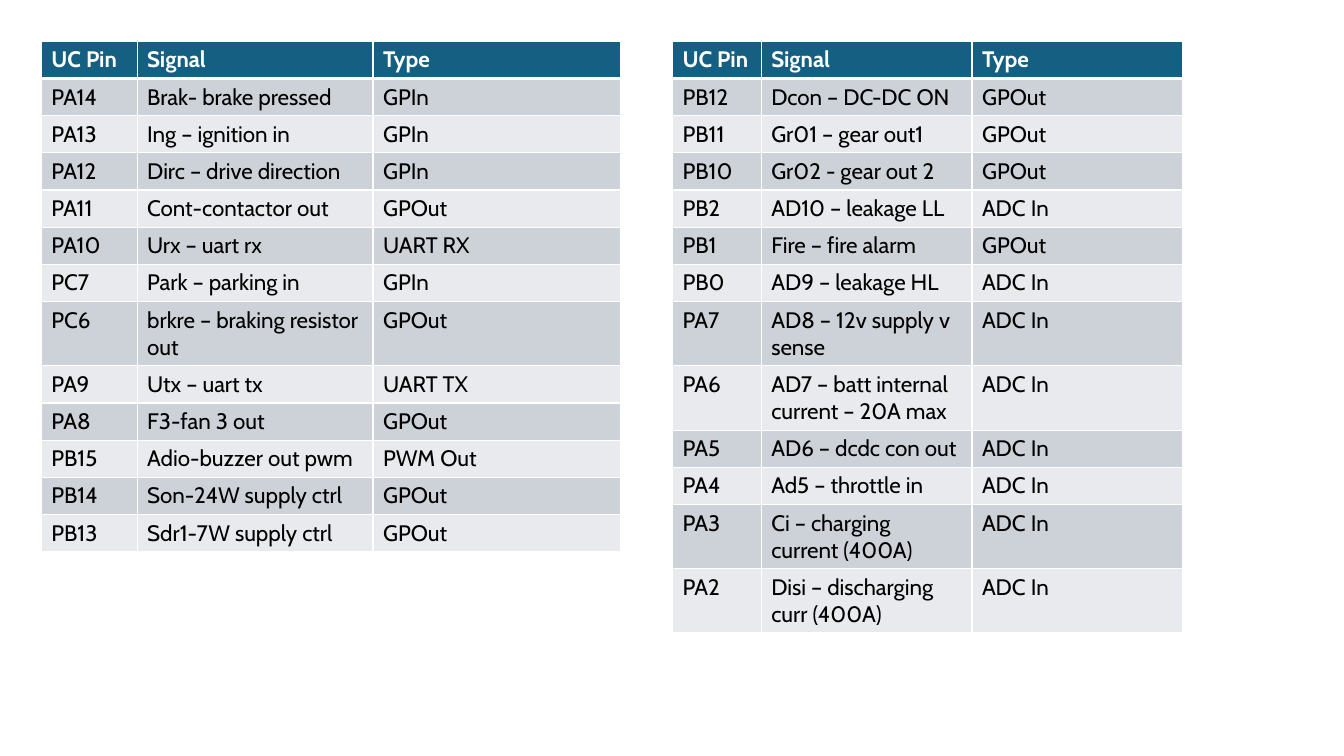
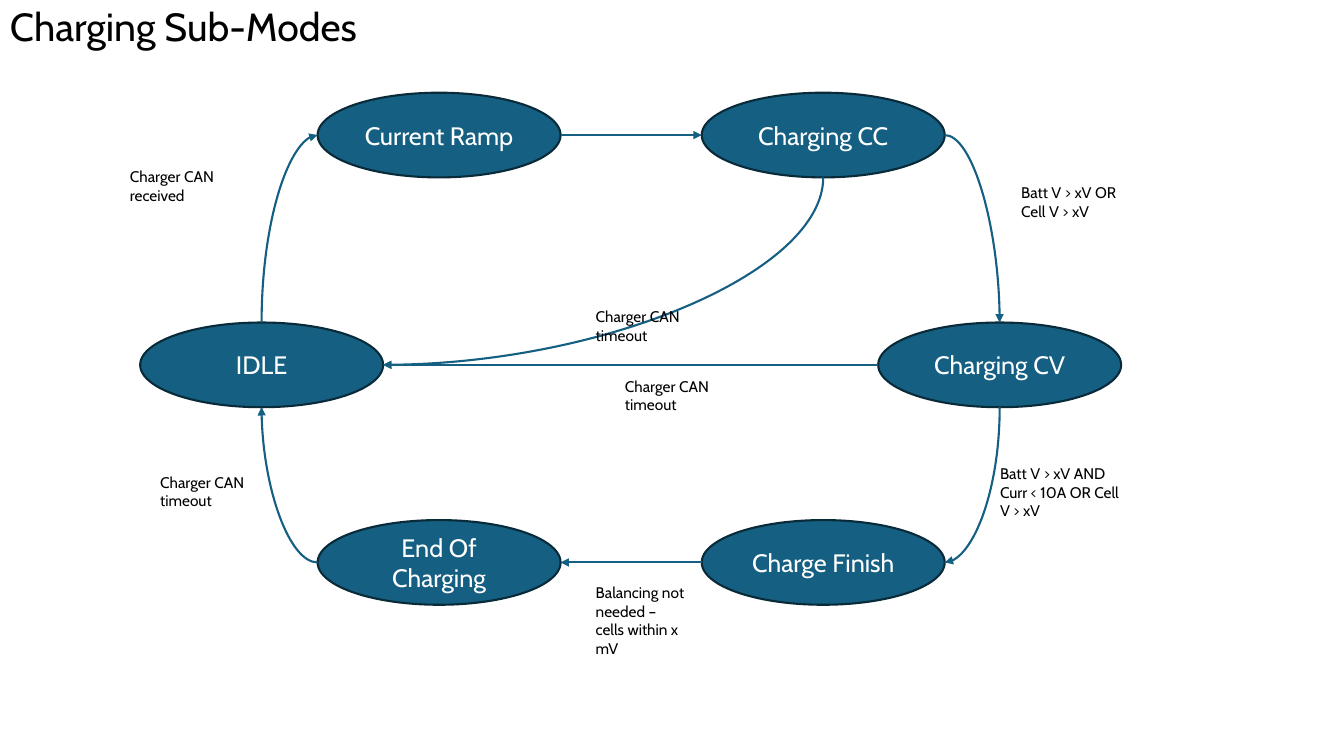
from dataclasses import dataclass

from lxml import etree
from pptx import Presentation
from pptx.dml.color import RGBColor
from pptx.enum.shapes import MSO_CONNECTOR, MSO_SHAPE
from pptx.enum.text import MSO_ANCHOR, MSO_AUTO_SIZE, PP_ALIGN
from pptx.oxml.ns import qn
from pptx.util import Inches, Pt

CURVE = MSO_CONNECTOR.CURVE
OVAL = MSO_SHAPE.OVAL
MIDDLE = MSO_ANCHOR.MIDDLE
GROW = MSO_AUTO_SIZE.SHAPE_TO_FIT_TEXT
LEFT, CENTER = PP_ALIGN.LEFT, PP_ALIGN.CENTER


@dataclass(frozen=True)
class Theme:
    font: str = "Cabin"
    main: str = "156082"
    edge: str = "092A39"
    dark: str = "CCD2D8"
    pale: str = "E8EAED"
    ink: str = "000000"
    white: str = "FFFFFF"
    title: int = 28
    state: int = 18
    cell: int = 16
    note: int = 11
    line: float = 1.5
    rule: int = 1
    thick: int = 3


THEME = Theme()
SITES = {
    "top": (0, 0.5, 0),
    "left": (2, 0, 0.5),
    "bottom": (4, 0.5, 1),
    "right": (6, 1, 0.5),
}
UPRIGHT = ("top", "bottom")
STATE_W, STATE_H = 2.41, 0.84
ROW_H = 0.28


def color(code):
    return RGBColor.from_string(code)


def write(frame, words, size, ink=THEME.ink, bold=False, align=LEFT, space=None):
    frame.word_wrap = True
    for index, line in enumerate(words.split("\n")):
        para = frame.add_paragraph() if index else frame.paragraphs[0]
        para.alignment = align
        para.line_spacing = space
        run = para.add_run()
        run.text = line
        run.font.name = THEME.font
        run.font.size = Pt(size)
        run.font.bold = bold
        run.font.color.rgb = color(ink)


class Deck:
    def __init__(self, theme):
        self.theme = theme
        self.file = Presentation()
        self.file.slide_width = Inches(13.33)
        self.file.slide_height = Inches(7.5)
        self.slide = None

    def page(self):
        self.slide = self.file.slides.add_slide(self.file.slide_layouts[6])

    def box(self, left, top, width, height):
        place = map(Inches, (left, top, width, height))
        return self.slide.shapes.add_textbox(*place).text_frame

    def title(self, words):
        write(self.box(0, 0.03, 6.31, 0.61), words, self.theme.title, space=0.9)

    def note(self, words, left, top, width=1.1, height=0.47):
        frame = self.box(left, top, width, height)
        write(frame, words, self.theme.note)
        frame.auto_size = GROW

    def state(self, words, left, top):
        place = map(Inches, (left, top, STATE_W, STATE_H))
        oval = self.slide.shapes.add_shape(OVAL, *place)
        oval.shadow.inherit = False
        oval.fill.solid()
        oval.fill.fore_color.rgb = color(self.theme.main)
        oval.line.color.rgb = color(self.theme.edge)
        oval.line.width = Pt(self.theme.line)
        oval.text_frame.vertical_anchor = MIDDLE
        write(oval.text_frame, words, self.theme.state,
              ink=self.theme.white, align=CENTER)
        return oval

    def link(self, start, leave, end, enter):
        ends = []
        for shape, side in ((start, leave), (end, enter)):
            _, across, down = SITES[side]
            ends.append((shape.left + int(shape.width * across),
                         shape.top + int(shape.height * down)))
        (x1, y1), (x2, y2) = ends
        turn = leave in UPRIGHT
        if turn:
            mid_x, mid_y = (x1 + x2) // 2, (y1 + y2) // 2
            half_w, half_h = (y2 - y1) // 2, (x1 - x2) // 2
            x1, y1 = mid_x - half_w, mid_y - half_h
            x2, y2 = mid_x + half_w, mid_y + half_h
        arrow = self.slide.shapes.add_connector(CURVE, x1, y1, x2, y2)
        arrow.line.color.rgb = color(self.theme.main)
        arrow.line.width = Pt(self.theme.line)
        props = arrow._element.spPr
        if turn:
            props.find(qn("a:xfrm")).set("rot", "5400000")
        if turn != (enter in UPRIGHT):
            props.find(qn("a:prstGeom")).set("prst", "curvedConnector2")
        head = etree.SubElement(props.find(qn("a:ln")), qn("a:tailEnd"))
        head.set("type", "triangle")
        etree.SubElement(props, qn("a:effectLst"))
        joins = arrow._element.nvCxnSpPr.cNvCxnSpPr
        for tag, shape, side in (("a:stCxn", start, leave), ("a:endCxn", end, enter)):
            join = etree.SubElement(joins, qn(tag))
            join.set("id", str(shape.shape_id))
            join.set("idx", str(SITES[side][0]))

    def border(self, cell, top, bottom):
        props = cell._tc.get_or_add_tcPr()
        rule = self.theme.rule
        for side, width in zip("LRTB", (rule, rule, top, bottom)):
            line = etree.SubElement(props, qn("a:ln" + side), w=str(Pt(width)))
            fill = etree.SubElement(line, qn("a:solidFill"))
            etree.SubElement(fill, qn("a:srgbClr"), val=self.theme.white)

    def table(self, rows, left, top, widths):
        look = self.theme
        rows = [("UC Pin", "Signal", "Type")] + rows
        place = map(Inches, (left, top, sum(widths), ROW_H * len(rows)))
        grid = self.slide.shapes.add_table(len(rows), len(widths), *place).table
        grid.horz_banding = False
        for column, width in zip(grid.columns, widths):
            column.width = Inches(width)
        for r, row in enumerate(rows):
            first = r == 0
            band = look.main if first else (look.pale, look.dark)[r % 2]
            for c, words in enumerate(row):
                cell = grid.cell(r, c)
                self.border(cell, look.thick if r == 1 else look.rule,
                            look.thick if first else look.rule)
                cell.fill.solid()
                cell.fill.fore_color.rgb = color(band)
                write(cell.text_frame, words, look.cell, bold=first,
                      ink=look.white if first else look.ink)


PINS_A = [
    ("PA14", "Brak- brake pressed", "GPIn"),
    ("PA13", "Ing – ignition in", "GPIn"),
    ("PA12", "Dirc – drive direction", "GPIn"),
    ("PA11", "Cont-contactor out", "GPOut"),
    ("PA10", "Urx – uart rx", "UART RX"),
    ("PC7", "Park – parking in", "GPIn"),
    ("PC6", "brkre – braking resistor out", "GPOut"),
    ("PA9", "Utx – uart tx", "UART TX"),
    ("PA8", "F3-fan 3 out", "GPOut"),
    ("PB15", "Adio-buzzer out pwm", "PWM Out"),
    ("PB14", "Son-24W supply ctrl", "GPOut"),
    ("PB13", "Sdr1-7W supply ctrl", "GPOut"),
]
PINS_B = [
    ("PB12", "Dcon – DC-DC ON", "GPOut"),
    ("PB11", "Gr01 – gear out1", "GPOut"),
    ("PB10", "Gr02 - gear out 2", "GPOut"),
    ("PB2", "AD10 – leakage LL", "ADC In"),
    ("PB1", "Fire – fire alarm", "GPOut"),
    ("PB0", "AD9 – leakage HL", "ADC In"),
    ("PA7", "AD8 – 12v supply v sense", "ADC In"),
    ("PA6", "AD7 – batt internal current – 20A max", "ADC In"),
    ("PA5", "AD6 – dcdc con out", "ADC In"),
    ("PA4", "Ad5 – throttle in", "ADC In"),
    ("PA3", "Ci – charging current (400A)", "ADC In"),
    ("PA2", "Disi – discharging curr (400A)", "ADC In"),
]


def pins(deck):
    deck.page()
    deck.table(PINS_A, 0.41, 0.41, (0.95, 2.34, 2.46))
    deck.table(PINS_B, 6.67, 0.41, (0.88, 2.09, 2.09))


def modes(deck):
    deck.page()
    deck.title("Charging Sub-Modes")
    high, mid, low = 0.92, 3.2, 5.16
    near, far = 3.15, 6.96
    idle = deck.state("IDLE", 1.39, mid)
    ramp = deck.state("Current Ramp", near, high)
    steady = deck.state("Charging CC", far, high)
    hold = deck.state("Charging CV", 8.71, mid)
    finish = deck.state("Charge Finish", far, low)
    done = deck.state("End Of Charging", near, low)

    deck.link(idle, "top", ramp, "left")
    deck.link(ramp, "right", steady, "left")
    deck.link(steady, "right", hold, "top")
    deck.link(steady, "bottom", idle, "right")
    deck.link(hold, "left", idle, "right")
    deck.link(hold, "bottom", finish, "right")
    deck.link(finish, "left", done, "right")
    deck.link(done, "left", idle, "bottom")

    deck.note("Charger CAN received", 1.19, 1.61)
    for left, top in ((5.81, 3), (6.1, 3.69), (1.49, 4.64)):
        deck.note("Charger CAN timeout", left, top)
    deck.note("Batt V > xV OR Cell V > xV", 10.03, 1.77, width=1.4)
    deck.note("Batt V > xV AND Curr < 10A OR Cell V > xV", 9.82, 4.56,
              width=1.4, height=0.66)
    deck.note("Balancing not needed – cells within x\nmV", 5.81, 5.74, height=0.84)


def main():
    deck = Deck(THEME)
    pins(deck)
    modes(deck)
    deck.file.save("out.pptx")


if __name__ == "__main__":
    main()
